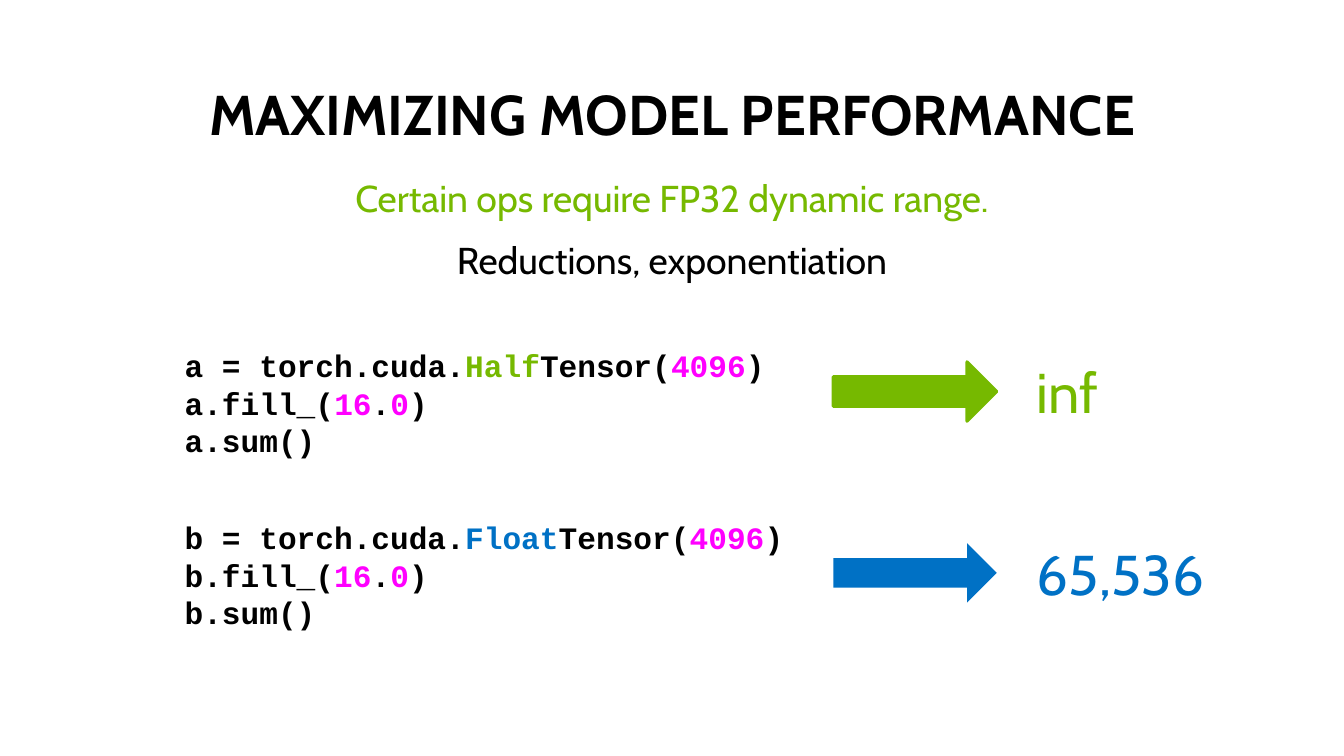
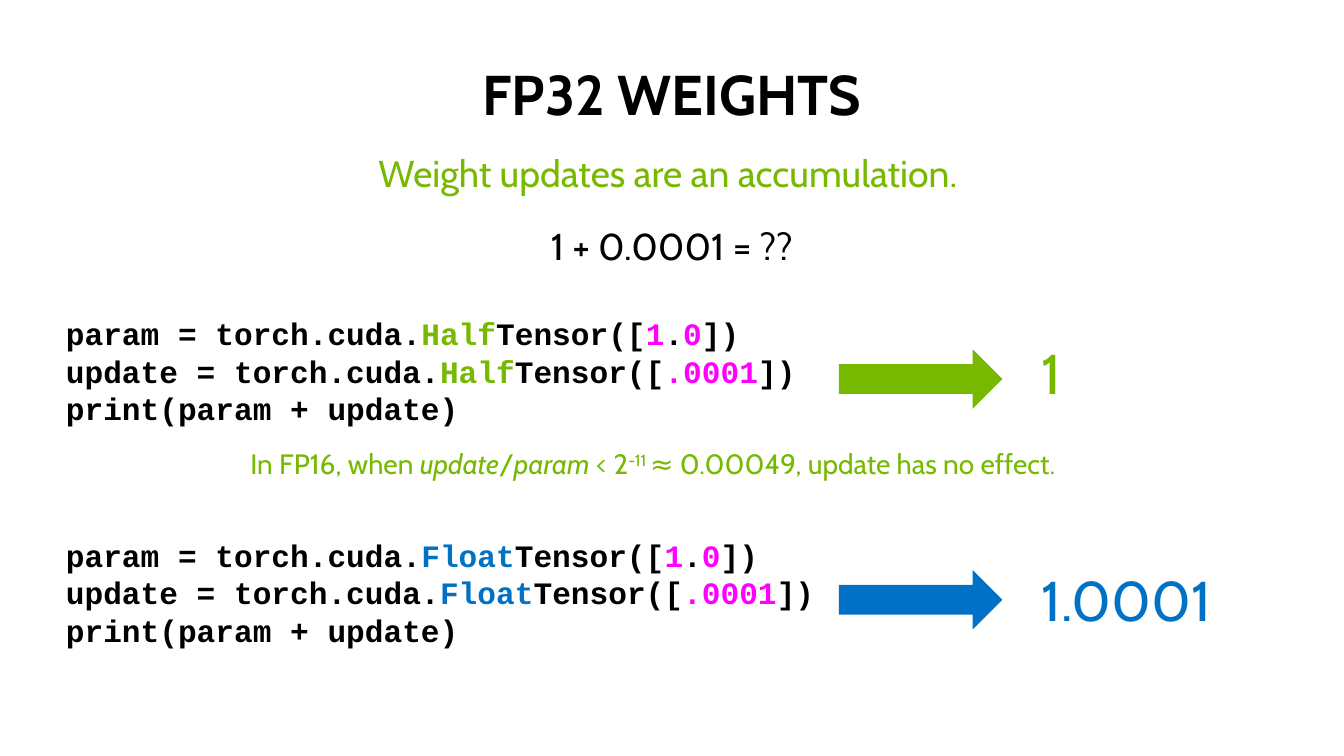
from pptx import Presentation
from pptx.dml.color import RGBColor
from pptx.enum.shapes import MSO_SHAPE
from pptx.enum.text import MSO_ANCHOR, MSO_AUTO_SIZE, PP_ALIGN
from pptx.util import Pt

BLACK = RGBColor(0x00, 0x00, 0x00)
GREEN = RGBColor(0x76, 0xB9, 0x00)
BLUE = RGBColor(0x00, 0x71, 0xC5)
MAGENTA = RGBColor(0xFF, 0x00, 0xFF)

SLIDE_WIDTH, SLIDE_HEIGHT = 864, 486
BLANK_LAYOUT = 6


class Deck:
    """Holds the shared style and the slide being built; lengths are in points."""

    text_font = "Cabin"
    code_font = "Courier New"

    def __init__(self):
        self.presentation = Presentation()
        self.presentation.slide_width = Pt(SLIDE_WIDTH)
        self.presentation.slide_height = Pt(SLIDE_HEIGHT)
        self.slide = None

    def add_slide(self):
        layout = self.presentation.slide_layouts[BLANK_LAYOUT]
        self.slide = self.presentation.slides.add_slide(layout)

    def text_box(self, left, top, width, height, anchor=MSO_ANCHOR.TOP, grow=False):
        box = self.slide.shapes.add_textbox(Pt(left), Pt(top), Pt(width), Pt(height))
        frame = box.text_frame
        frame.word_wrap = True
        frame.vertical_anchor = anchor
        frame.auto_size = MSO_AUTO_SIZE.SHAPE_TO_FIT_TEXT if grow else MSO_AUTO_SIZE.NONE
        return frame

    def add_run(self, paragraph, text, size, color, font=text_font, bold=False):
        run = paragraph.add_run()
        run.text = text
        run.font.name = font
        run.font.size = Pt(size)
        run.font.bold = bold
        run.font.color.rgb = color
        return run

    def centered_line(self, text, top, width, height, size, color,
                      anchor=MSO_ANCHOR.TOP, bold=False):
        left = (SLIDE_WIDTH - width) / 2
        paragraph = self.text_box(left, top, width, height, anchor).paragraphs[0]
        paragraph.alignment = PP_ALIGN.CENTER
        paragraph.line_spacing = 0.9
        self.add_run(paragraph, text, size, color, bold=bold)

    def heading(self, title, subtitle, top, subtitle_top):
        self.centered_line(title, top, 785.5, 46.8, 36, BLACK, MSO_ANCHOR.BOTTOM, True)
        self.centered_line(subtitle, subtitle_top, 670.3, 41, 24, GREEN)

    def topic(self, text, top, width):
        self.centered_line(text, top, width, 41, 24, BLACK)

    def code(self, left, top, width, statements, last_line, anchor=MSO_ANCHOR.TOP):
        """Statements are lists of (text, color) and share the first paragraph."""
        frame = self.text_box(left, top, width, 79.9, anchor, grow=True)
        paragraph = frame.paragraphs[0]
        for index, statement in enumerate(statements):
            if index:
                paragraph.add_line_break()
            for text, color in statement:
                self.add_run(paragraph, text, 20, color, self.code_font, True)
        self.add_run(frame.add_paragraph(), last_line, 20, BLACK, self.code_font, True)

    def arrow(self, left, top, color, outlined=False):
        shape = self.slide.shapes.add_shape(
            MSO_SHAPE.RIGHT_ARROW, Pt(left), Pt(top), Pt(105.1), Pt(38.2))
        shape.shadow.inherit = False
        shape.fill.solid()
        shape.fill.fore_color.rgb = color
        if outlined:
            shape.line.color.rgb = color
            shape.line.width = Pt(2)
        else:
            shape.line.fill.background()

    def result(self, text, left, top, width, color):
        frame = self.text_box(left, top, width, 51.1, MSO_ANCHOR.MIDDLE, grow=True)
        self.add_run(frame.paragraphs[0], text, 36, color)

    def note(self, left, top, width, parts):
        """Parts are (text, italic, baseline in thousandths of a percent)."""
        paragraph = self.text_box(left, top, width, 28.8, grow=True).paragraphs[0]
        paragraph.alignment = PP_ALIGN.CENTER
        for text, italic, baseline in parts:
            run = self.add_run(paragraph, text, 18, GREEN)
            run.font.italic = italic
            if baseline:
                run._r.get_or_add_rPr().set("baseline", str(baseline))


def decimal(whole, fraction):
    return [(whole, MAGENTA), (".", BLACK), (fraction, MAGENTA)]


def tensor(name, kind, color, opening, argument, closing):
    return [(f"{name} = torch.cuda.", BLACK), (kind, color),
            (f"Tensor{opening}", BLACK), *argument, (closing, BLACK)]


def build_performance_slide(deck):
    deck.add_slide()
    deck.heading("MAXIMIZING MODEL PERFORMANCE",
                 "Certain ops require FP32 dynamic range.", 51.8, 112.3)
    deck.topic("Reductions, exponentiation", 151.9, 468.7)
    examples = [
        ("a", "Half", GREEN, 218.9, 390.2, MSO_ANCHOR.MIDDLE, 232.6, "inf", 74.2),
        ("b", "Float", BLUE, 329.8, 499, MSO_ANCHOR.TOP, 349.2, "65,536", 130.3),
    ]
    for name, kind, color, top, width, anchor, arrow_top, value, value_width in examples:
        statements = [
            tensor(name, kind, color, "(", [("4096", MAGENTA)], ")"),
            [(f"{name}.fill_(", BLACK), *decimal("16", "0"), (")", BLACK)],
        ]
        deck.code(111.6, top, width, statements, f"{name}.sum()", anchor)
        deck.arrow(535.7, arrow_top, color, outlined=color == GREEN)
        deck.result(value, 659.5, arrow_top - 6.5, value_width, color)


def build_weights_slide(deck):
    deck.add_slide()
    deck.heading("FP32 WEIGHTS", "Weight updates are an accumulation. ", 38.9, 96.5)
    deck.topic("1 + 0.0001 = ??", 143.3, 378.7)
    deck.note(133.9, 283.7, 571.7, [
        ("In FP16, when ", False, 0),
        ("update", True, 0),
        ("/", False, 0),
        ("param", True, 0),
        (" < 2", False, 0),
        ("-11 ", False, 30000),
        ("≈ 0.00049, update has no effect.", False, 0),
    ])
    examples = [
        ("Half", GREEN, 198.7, 224.6, "1", 213.8),
        ("Float", BLUE, 341.3, 366.5, "1.0001", 359.3),
    ]
    for kind, color, top, arrow_top, value, value_top in examples:
        statements = [
            tensor("param", kind, color, "([", decimal("1", "0"), "])"),
            tensor("update", kind, color, "([", [(".0001", MAGENTA)], "])"),
        ]
        deck.code(35.3, top, 507.6, statements, "print(param + update)")
        deck.arrow(539.3, arrow_top, color)
        deck.result(value, 662.4, value_top, 133.2, color)


def main():
    deck = Deck()
    build_performance_slide(deck)
    build_weights_slide(deck)
    deck.presentation.save("out.pptx")


if __name__ == "__main__":
    main()
